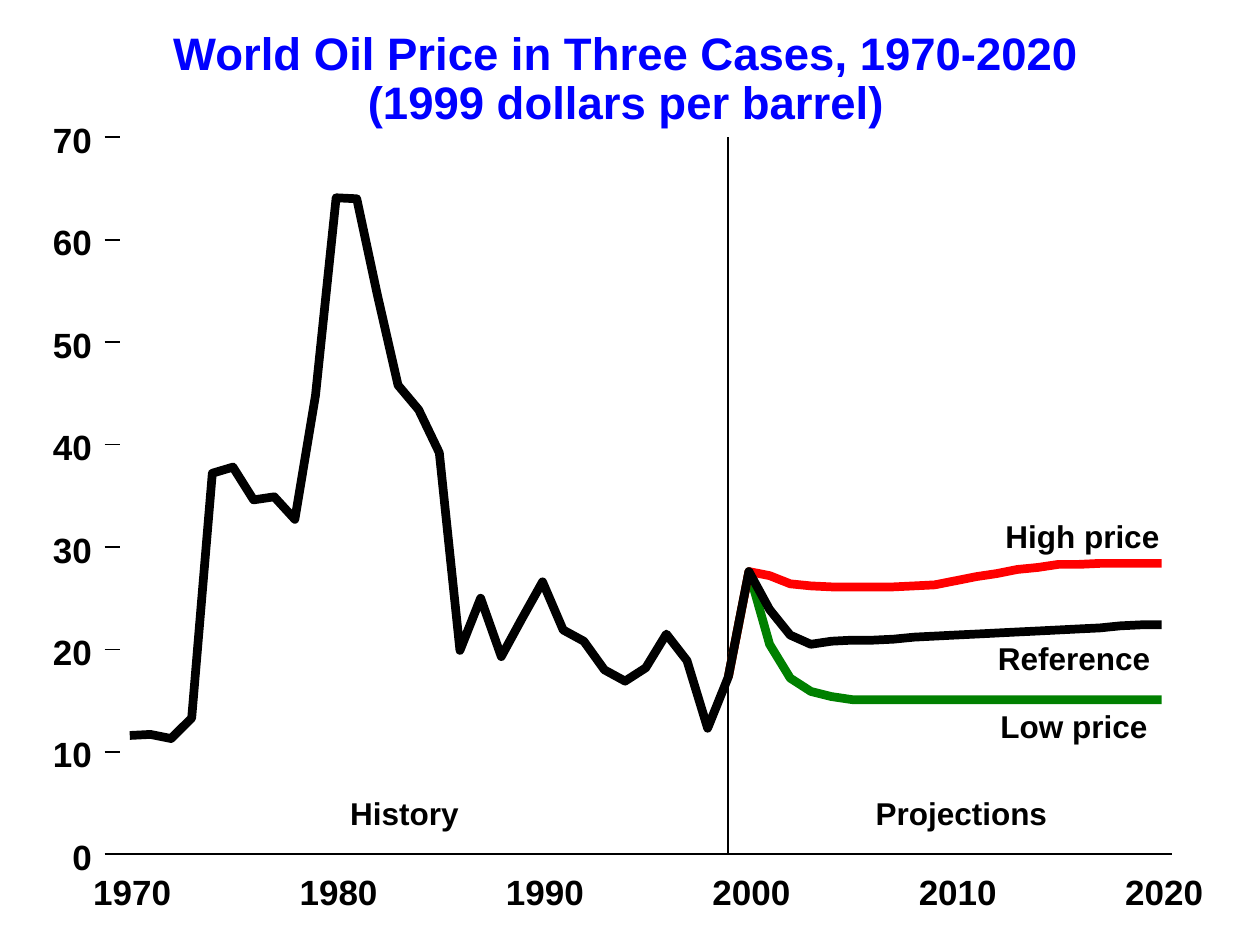
from collections import namedtuple

from lxml import etree
from pptx import Presentation
from pptx.dml.color import RGBColor
from pptx.enum.shapes import MSO_CONNECTOR
from pptx.enum.text import MSO_AUTO_SIZE, PP_ALIGN
from pptx.oxml.ns import qn
from pptx.util import Inches, Pt

BLACK = RGBColor(0x00, 0x00, 0x00)
BLUE = RGBColor(0x00, 0x00, 0xFF)
GREEN = RGBColor(0x00, 0x80, 0x00)
RED = RGBColor(0xFF, 0x00, 0x00)
FONT = "Arial"

Box = namedtuple("Box", "left top width height")
TITLE_BOX = Box(1.37, 0.25, 7.2, 0.78)
PLOT_BOX = Box(0.95, 1.09, 8.35, 5.69)

FIRST_YEAR, LAST_YEAR, SPLIT_YEAR = 1970, 2020, 1999
MAX_PRICE = 70
YEAR_INSET = 0.08

TITLE = ["World Oil Price in Three Cases, 1970-2020", "(1999 dollars per barrel)"]
HISTORY = [11.6, 11.7, 11.3, 13.3, 37.2, 37.8, 34.6, 34.9, 32.7, 44.8,
           64.1, 64.0, 54.6, 45.8, 43.4, 39.2, 19.9, 25.0, 19.3, 23.0,
           26.6, 21.9, 20.8, 18.0, 16.9, 18.2, 21.5, 18.9, 12.3]
SHARED = [17.3, 27.6]
LOW = [20.5, 17.2, 15.9, 15.4] + [15.1] * 16
HIGH = [27.2, 26.4, 26.2, 26.1, 26.1, 26.1, 26.1, 26.2, 26.3, 26.7,
        27.1, 27.4, 27.8, 28.0, 28.3, 28.3, 28.4, 28.4, 28.4, 28.4]
REFERENCE = [23.9, 21.4, 20.5, 20.8, 20.9, 20.9, 21.0, 21.2, 21.3, 21.4,
             21.5, 21.6, 21.7, 21.8, 21.9, 22.0, 22.1, 22.3, 22.4, 22.4]
CURVES = [
    (SPLIT_YEAR, SHARED + LOW, GREEN),
    (SPLIT_YEAR, SHARED + HIGH, RED),
    (FIRST_YEAR, HISTORY + SHARED + REFERENCE, BLACK),
]
CAPTIONS = [
    ("Reference", 6.97, 3.98, 1.25),
    ("Low price", 6.99, 4.52, 1.21),
    ("High price", 7.03, 3.01, 1.26),
    ("History", 1.83, 5.21, 0.9),
    ("Projections", 6.0, 5.21, 1.4),
]


def year_x(box, year):
    """Return the horizontal place of a year in the plot."""
    span = box.width - 2 * YEAR_INSET
    return box.left + YEAR_INSET + span * (year - FIRST_YEAR) / (LAST_YEAR - FIRST_YEAR)


def price_y(box, price):
    """Return the vertical place of a price in the plot."""
    return box.top + box.height * (1 - price / MAX_PRICE)


def add_text(s, box, lines, size, color=BLACK, align=PP_ALIGN.LEFT, spacing=None):
    """Add a bold, unwrapped text box without margins."""
    sp = s.shapes.add_textbox(*(Inches(v) for v in box))
    tf = sp.text_frame
    tf.margin_left = tf.margin_right = tf.margin_top = tf.margin_bottom = 0
    tf.word_wrap = False
    tf.auto_size = MSO_AUTO_SIZE.SHAPE_TO_FIT_TEXT
    for i, line in enumerate(lines):
        p = tf.add_paragraph() if i else tf.paragraphs[0]
        p.alignment = align
        p.line_spacing = spacing
        r = p.add_run()
        r.text = line
        r.font.name = FONT
        r.font.size = Pt(size)
        r.font.bold = True
        r.font.color.rgb = color


def add_rule(s, x1, y1, x2, y2):
    """Add a thin black straight line."""
    sp = s.shapes.add_connector(
        MSO_CONNECTOR.STRAIGHT, Inches(x1), Inches(y1), Inches(x2), Inches(y2))
    sp.line.color.rgb = BLACK
    sp.line.width = Pt(1)
    etree.SubElement(sp._element.spPr, qn("a:effectLst"))


def add_curve(s, box, start_year, prices, color):
    """Draw one price series as a thick open outline."""
    points = [(Inches(year_x(box, year)), Inches(price_y(box, price)))
              for year, price in enumerate(prices, start_year)]
    builder = s.shapes.build_freeform(*points[0])
    builder.add_line_segments(points[1:], close=False)
    sp = builder.convert_to_shape()
    sp.shadow.inherit = False
    sp.fill.background()
    sp.line.color.rgb = color
    sp.line.width = Pt(5)
    etree.SubElement(sp.line._ln, qn("a:round"))


def add_title(s, box):
    """Place the two-line heading."""
    add_text(s, box, TITLE, 26, BLUE, PP_ALIGN.CENTER, 0.9)


def add_curves(s, box):
    """Place the history divider and the three price cases."""
    split = year_x(box, SPLIT_YEAR)
    add_rule(s, split, box.top, split, box.top + box.height)
    for start_year, prices, color in CURVES:
        add_curve(s, box, start_year, prices, color)


def add_axes(s, box):
    """Place both axes with their ticks and labels."""
    bottom = box.top + box.height
    add_rule(s, box.left, bottom, box.left + box.width, bottom)
    for price in range(0, MAX_PRICE + 1, 10):
        y = price_y(box, price)
        add_rule(s, box.left - 0.12, y, box.left, y)
        width = 0.16 * len(str(price))
        label = Box(box.left - 0.22 - width, y - 0.15, width, 0.33)
        add_text(s, label, [str(price)], 20, align=PP_ALIGN.RIGHT)
    for year in range(FIRST_YEAR, LAST_YEAR + 1, 10):
        label = Box(year_x(box, year) - 0.29, bottom + 0.13, 0.64, 0.33)
        add_text(s, label, [str(year)], 20)


def add_captions(s, box):
    """Place the names of the cases and periods."""
    for text, dx, dy, width in CAPTIONS:
        add_text(s, Box(box.left + dx, box.top + dy, width, 0.3), [text], 18)


def main():
    """Build and save the slide."""
    prs = Presentation()
    prs.slide_width, prs.slide_height = Inches(10), Inches(7.5)
    s = prs.slides.add_slide(prs.slide_layouts[6])
    add_title(s, TITLE_BOX)
    add_curves(s, PLOT_BOX)
    add_axes(s, PLOT_BOX)
    add_captions(s, PLOT_BOX)
    prs.save("out.pptx")


if __name__ == "__main__":
    main()
